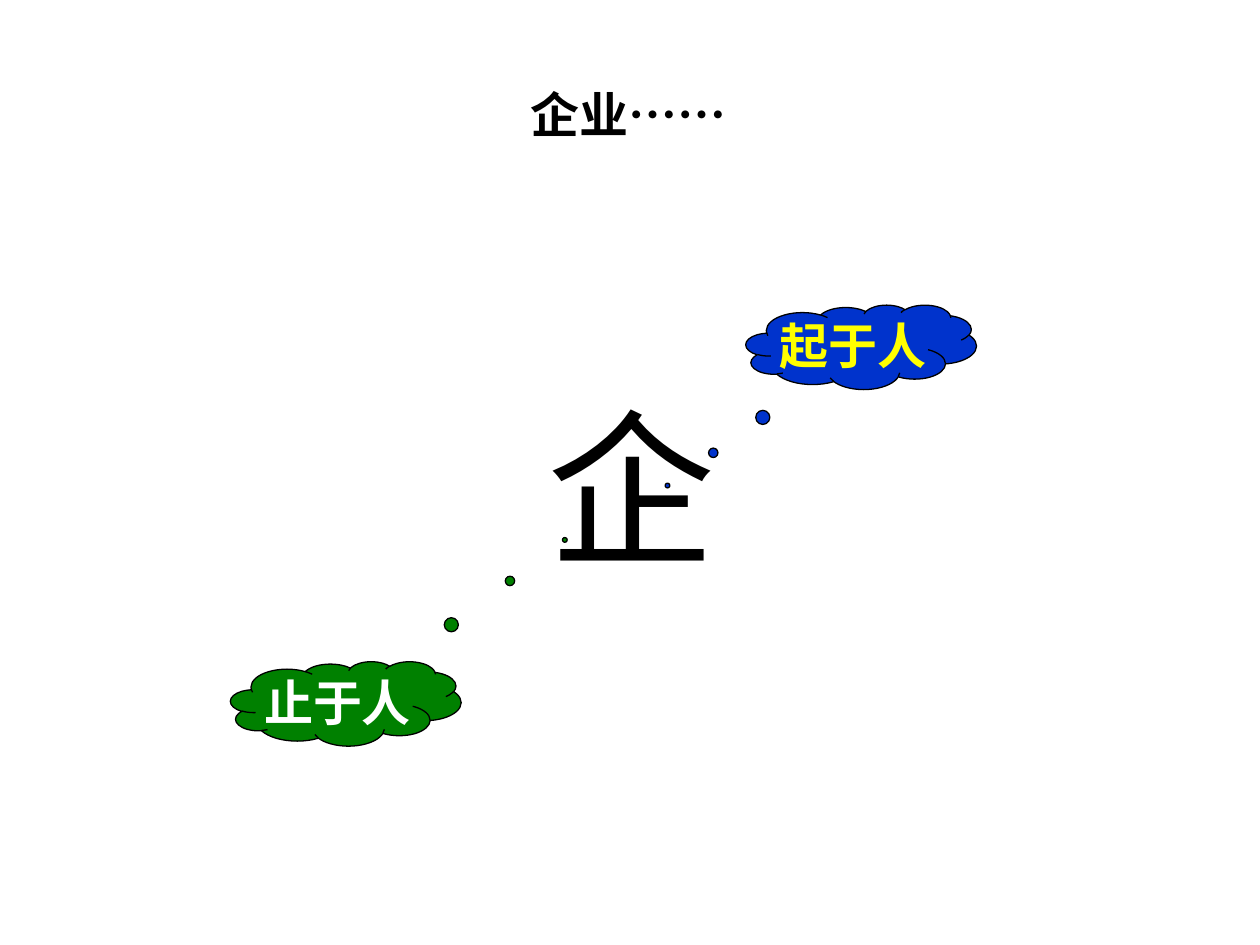
from lxml.etree import SubElement
from pptx import Presentation
from pptx.dml.color import RGBColor
from pptx.enum.lang import MSO_LANGUAGE_ID
from pptx.enum.shapes import MSO_SHAPE
from pptx.enum.text import MSO_ANCHOR, MSO_AUTO_SIZE, PP_ALIGN
from pptx.oxml.ns import qn
from pptx.util import Inches, Pt

BLACK = RGBColor(0, 0, 0)
WHITE = RGBColor(255, 255, 255)
BLUE = RGBColor(0, 0x33, 0xCC)
GREEN = RGBColor(0, 0x80, 0)
YELLOW = RGBColor(255, 255, 0)
LATIN, HAN = "Times New Roman", "Noto Sans CJK SC"

# Content: title runs, central character, thought clouds
TITLE = [("企业", HAN), ("……", LATIN)]
SIGN = "企"
CLOUDS = [  # text, left, top, tail, fill, ink
    ("起于人", 5.92, 2.42, (-0.84, 1.64), BLUE, YELLOW),
    ("止于人", 1.83, 5.25, (0.95, -1.94), GREEN, WHITE),
]
CLOUD_SIZE = (1.83, 0.67)
HEAD = {"size": Pt(28), "bold": True}
BIG = {"size": Pt(96), "bold": False}


def write(shape, runs, ink, style, align, **frame):
    text = shape.text_frame
    for key, value in frame.items():
        setattr(text, key, value)
    para = text.paragraphs[0]
    para.alignment = align
    for words, face in runs:
        run = para.add_run()
        run.text = words
        font = run.font
        look = {**style, "name": face,
                "language_id": MSO_LANGUAGE_ID.SIMPLIFIED_CHINESE}
        for key, value in look.items():
            setattr(font, key, value)
        font.color.rgb = ink
        # East Asian typeface follows the Latin one
        SubElement(run._r.get_or_add_rPr(), qn("a:ea"), typeface=HAN)


deck = Presentation()
deck.slide_width, deck.slide_height = Inches(10), Inches(7.5)
slide = deck.slides.add_slide(deck.slide_layouts[5])

# Thought clouds
for words, left, top, tail, fill, ink in CLOUDS:
    cloud = slide.shapes.add_shape(
        MSO_SHAPE.CLOUD_CALLOUT, *map(Inches, (left, top, *CLOUD_SIZE)))
    cloud.shadow.inherit = False
    cloud.fill.solid()
    cloud.fill.fore_color.rgb = fill
    cloud.line.color.rgb = BLACK
    cloud.line.width = Pt(0.75)
    for i, share in enumerate(tail):
        cloud.adjustments[i] = share
    write(cloud, [(words, LATIN)], ink, HEAD, PP_ALIGN.CENTER,
          word_wrap=False, vertical_anchor=MSO_ANCHOR.MIDDLE)

# Central character
sign = slide.shapes.add_textbox(*map(Inches, (4.25, 3, 1.5, 1.7)))
write(sign, [(SIGN, LATIN)], BLACK, BIG, PP_ALIGN.LEFT,
      word_wrap=True, auto_size=MSO_AUTO_SIZE.SHAPE_TO_FIT_TEXT)

# Title
title = slide.shapes.title
title.left, title.top, title.width, title.height = map(
    Inches, (4.11, 0.62, 1.76, 0.57))
write(title, TITLE, BLACK, HEAD, PP_ALIGN.CENTER, word_wrap=True,
      auto_size=MSO_AUTO_SIZE.NONE, vertical_anchor=MSO_ANCHOR.MIDDLE)

deck.save("out.pptx")
